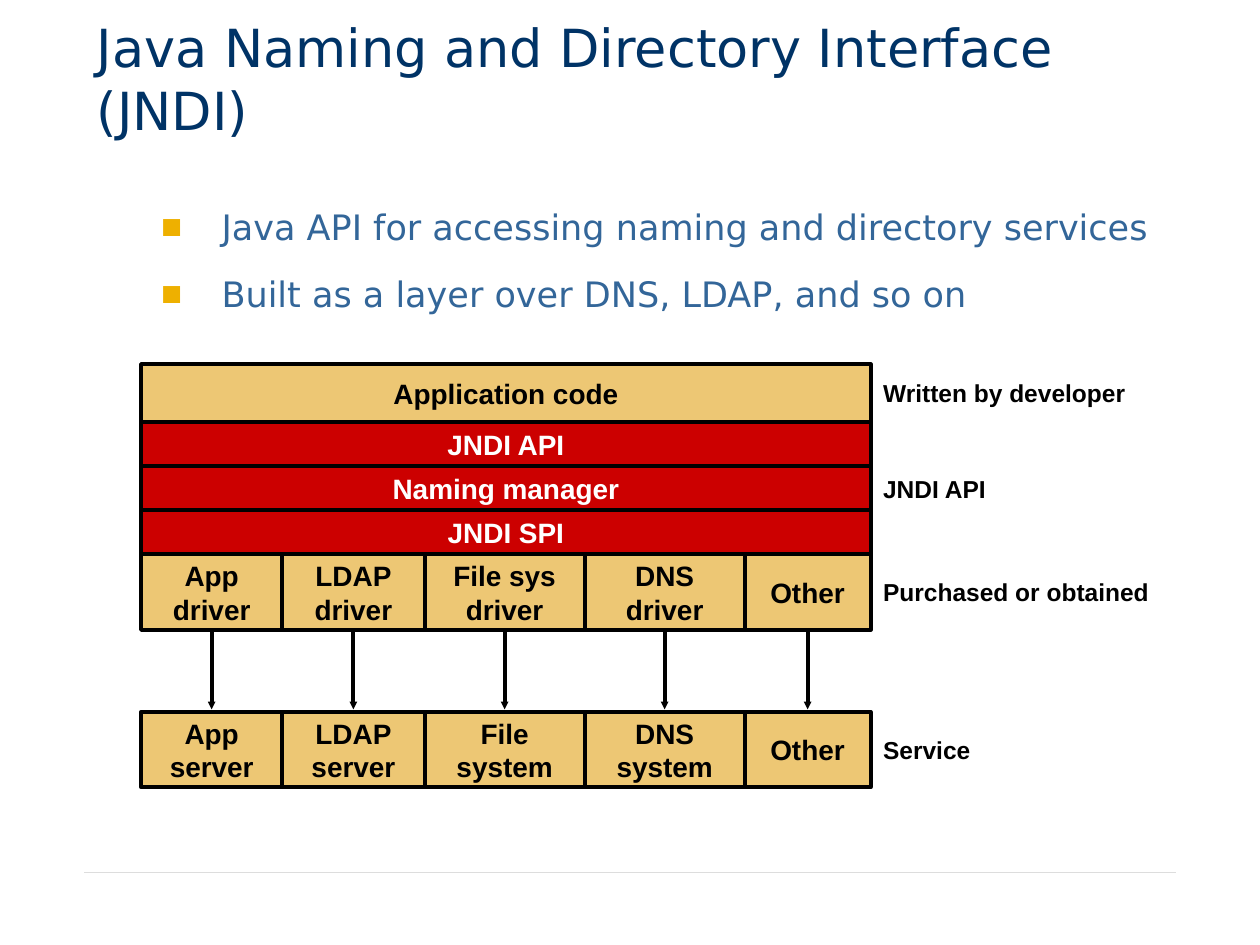
from itertools import accumulate

from lxml.etree import SubElement
from pptx import Presentation
from pptx.dml.color import RGBColor
from pptx.enum.shapes import MSO_CONNECTOR, MSO_SHAPE
from pptx.enum.text import MSO_ANCHOR as Anchor, PP_ALIGN as Align
from pptx.oxml.ns import qn
from pptx.util import Inches, Pt

NAVY = RGBColor(0x00, 0x33, 0x66)
BLUE = RGBColor(0x33, 0x66, 0x99)
GOLD = RGBColor(0xEE, 0xB0, 0x00)
SAND = RGBColor(0xED, 0xC7, 0x74)
RED = RGBColor(0xCC, 0x00, 0x00)
BLACK = RGBColor(0x00, 0x00, 0x00)
WHITE = RGBColor(0xFF, 0xFF, 0xFF)
GREY = RGBColor(0xDD, 0xDD, 0xDD)

LAYERS = [
    ("Application code", 0.46, SAND, BLACK),
    ("JNDI API", 0.35, RED, WHITE),
    ("Naming manager", 0.35, RED, WHITE),
    ("JNDI SPI", 0.35, RED, WHITE),
]
COLUMN_WIDTHS = [1.12, 1.13, 1.27, 1.27, 1]
DRIVERS = ["App\ndriver", "LDAP\ndriver", "File sys\ndriver", "DNS\ndriver", "Other"]
SERVICES = ["App\nserver", "LDAP\nserver", "File\nsystem", "DNS\nsystem", "Other"]


def write(shape, text, size, color, font="Arial", bold=True, align=Align.LEFT, anchor=Anchor.MIDDLE, margin=0):
    frame = shape.text_frame
    frame.word_wrap = True
    frame.vertical_anchor = anchor
    frame.margin_left = frame.margin_right = Inches(0.1)
    frame.margin_top = frame.margin_bottom = Inches(margin)
    frame.text = text
    for para in frame.paragraphs:
        para.alignment = align
        para.font.name = font
        para.font.size = Pt(size)
        para.font.bold = bold
        para.font.color.rgb = color
    return frame


def add_text(page, left, top, width, height, text, size, color, **style):
    box = page.shapes.add_textbox(Inches(left), Inches(top), Inches(width), Inches(height))
    return write(box, text, size, color, **style)


def add_box(page, left, top, width, height, text, fill, color):
    box = page.shapes.add_shape(
        MSO_SHAPE.RECTANGLE, Inches(left), Inches(top), Inches(width), Inches(height))
    box.shadow.inherit = False
    box.fill.solid()
    box.fill.fore_color.rgb = fill
    box.line.color.rgb = BLACK
    box.line.width = Pt(2.25)
    write(box, text, 16, color, align=Align.CENTER)


def add_line(page, x1, y1, x2, y2, color, width, arrow=False):
    line = page.shapes.add_connector(
        MSO_CONNECTOR.STRAIGHT, Inches(x1), Inches(y1), Inches(x2), Inches(y2))
    line.line.color.rgb = color
    line.line.width = Pt(width)
    if arrow:
        SubElement(line.line._get_or_add_ln(), qn("a:tailEnd"), type="triangle", w="sm", len="sm")
    SubElement(line._element.spPr, qn("a:effectLst"))


def add_title(page, left, top, width, height):
    add_text(page, left, top, width, height, "Java Naming and Directory Interface (JNDI)", 30, NAVY,
             font="DejaVu Sans", bold=False, anchor=Anchor.BOTTOM, margin=0.05)


def add_bullets(page, left, top, width, height):
    lines = ["Java API for accessing naming and directory services",
             "Built as a layer over DNS, LDAP, and so on"]
    frame = add_text(page, left, top, width, height, "\n".join(lines), 20, BLUE,
                     font="DejaVu Sans", bold=False, anchor=Anchor.TOP, margin=0.05)
    for para in frame.paragraphs:
        para.level = 1
        para.space_before = Pt(4.5)
        para.space_after = Pt(10)
        props = para._p.get_or_add_pPr()
        props.set("marL", str(Inches(0.99)))
        props.set("indent", str(Inches(-0.48)))
        bullet_color = SubElement(props, qn("a:buClr"))
        SubElement(bullet_color, qn("a:srgbClr"), val=str(GOLD))
        SubElement(props, qn("a:buSzPct"), val="100000")
        SubElement(props, qn("a:buFont"), typeface="Arial")
        SubElement(props, qn("a:buChar"), char="■")
        props.append(props.find(qn("a:defRPr")))


def add_architecture(page, left, top):
    width = sum(COLUMN_WIDTHS)
    row_height, arrow_gap = 0.6, 0.65
    y = top
    for text, height, fill, color in LAYERS:
        add_box(page, left, y, width, height, text, fill, color)
        y += height
    driver_top, service_top = y, y + row_height + arrow_gap
    starts = accumulate(COLUMN_WIDTHS[:-1], initial=left)
    for x, column, driver, service in zip(starts, COLUMN_WIDTHS, DRIVERS, SERVICES):
        add_box(page, x, driver_top, column, row_height, driver, SAND, BLACK)
        add_box(page, x, service_top, column, row_height, service, SAND, BLACK)
        middle = x + column / 2
        add_line(page, middle, driver_top + row_height + 0.02,
                 middle, service_top - 0.02, BLACK, 2.25, arrow=True)

    code_height = LAYERS[0][1]
    labels = [
        ("Written by developer", top, code_height, 2.28),
        ("JNDI API", top + code_height, driver_top - top - code_height, 2.28),
        ("Purchased or obtained", driver_top, row_height, 2.51),
        ("Service", service_top, row_height, 2.28),
    ]
    for text, label_top, height, label_width in labels:
        add_text(page, left + width, label_top, label_width, height, text, 14, BLACK)


def main():
    deck = Presentation()
    deck.slide_width, deck.slide_height = Inches(10), Inches(7.5)
    page = deck.slides.add_slide(deck.slide_layouts[6])
    add_line(page, 0.67, 6.92, 9.33, 6.92, GREY, 0.25)
    add_title(page, 0.67, 0.17, 8.75, 1)
    add_bullets(page, 0.67, 1.58, 8.66, 0.83)
    add_architecture(page, 1.12, 2.89)
    deck.save("out.pptx")


if __name__ == "__main__":
    main()
